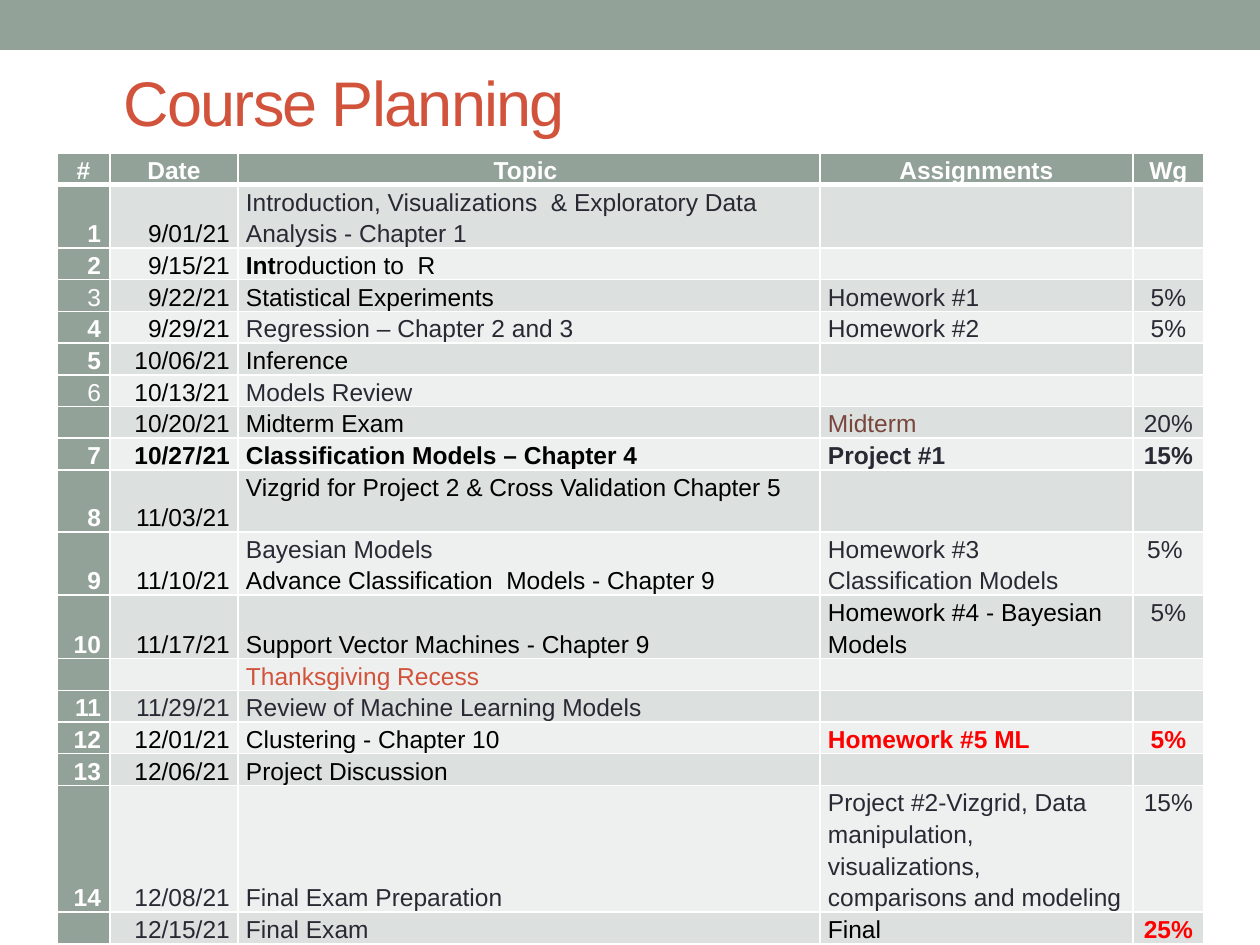
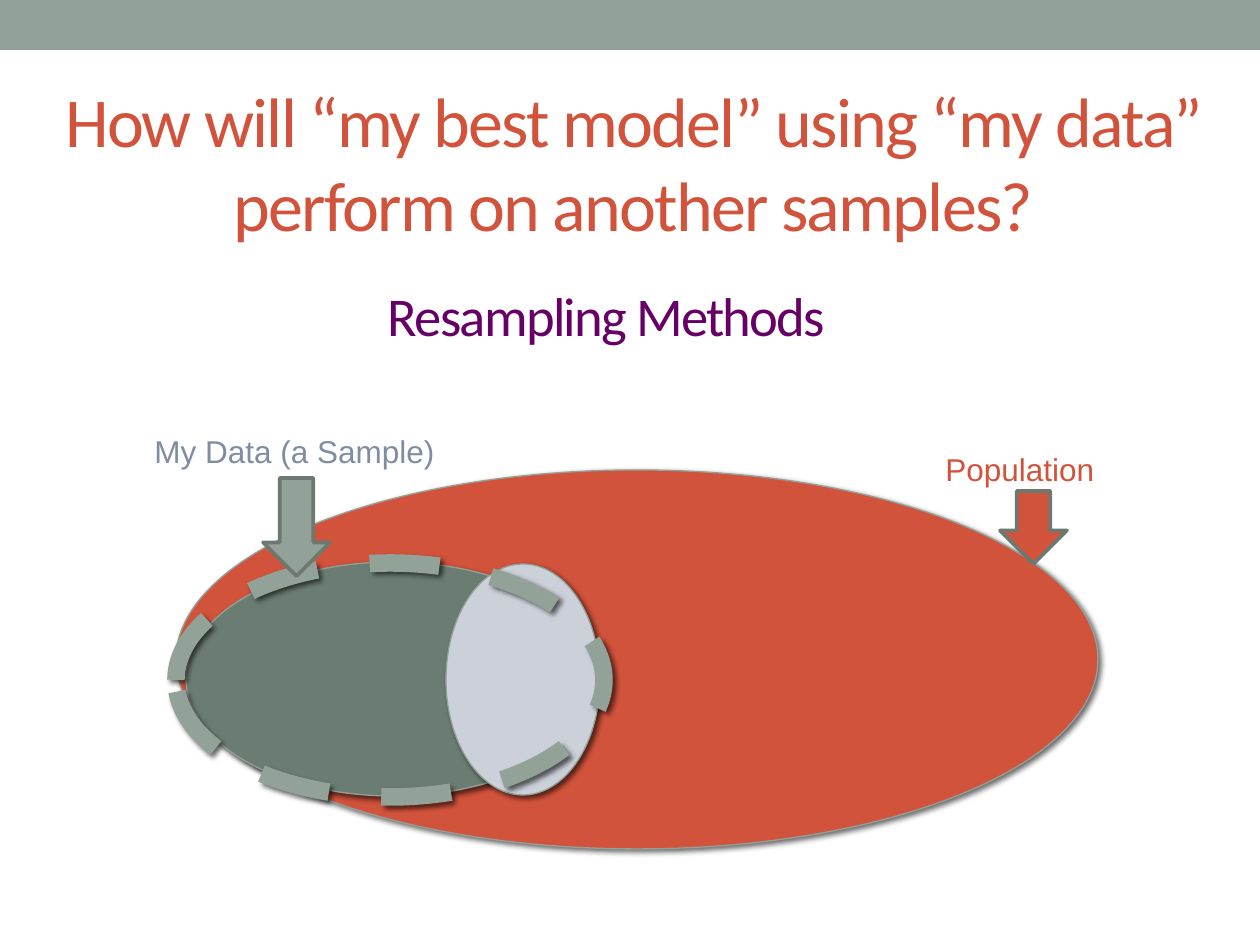
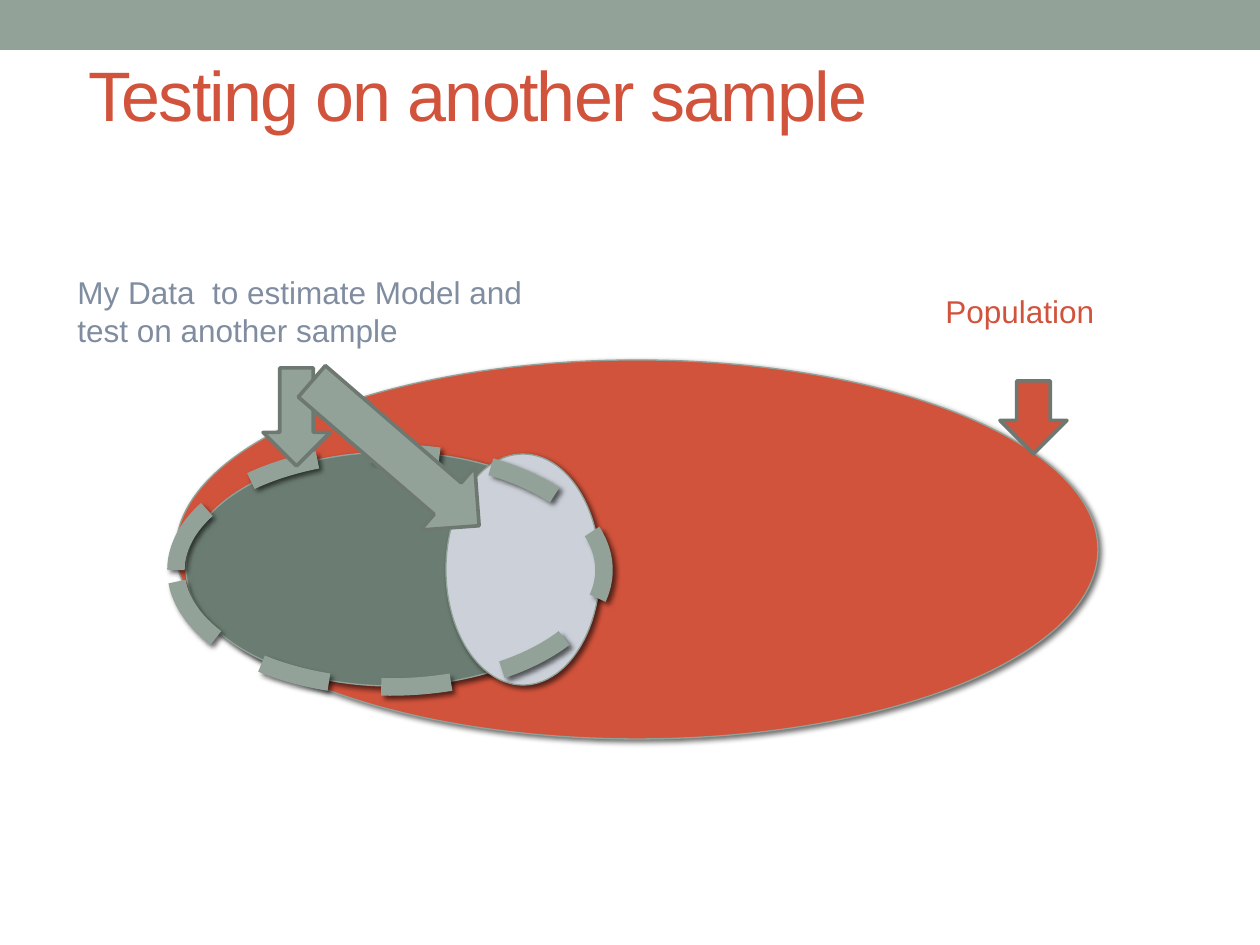
from lxml import etree
from pptx import Presentation
from pptx.dml.color import RGBColor
from pptx.enum.dml import MSO_LINE
from pptx.enum.shapes import MSO_SHAPE
from pptx.enum.text import MSO_ANCHOR, MSO_AUTO_SIZE, PP_ALIGN
from pptx.oxml import parse_xml
from pptx.oxml.ns import nsdecls, qn
from pptx.util import Inches, Pt

PX = 7257  # EMU in one pixel, 126 pixels to the inch

SAGE = RGBColor(0x93, 0xA2, 0x99)
DARK_SAGE = RGBColor(0x6B, 0x7D, 0x72)
ARROW_EDGE = RGBColor(0x6D, 0x78, 0x71)
BRICK = RGBColor(0xD2, 0x53, 0x3C)
BROWN = RGBColor(0x79, 0x46, 0x3D)
PALE_BLUE = RGBColor(0xCC, 0xD1, 0xD9)
SLATE = RGBColor(0x80, 0x8D, 0xA0)
PURPLE = RGBColor(0x66, 0x00, 0x66)
INK = RGBColor(0x29, 0x29, 0x34)
BLACK = RGBColor(0x00, 0x00, 0x00)
WHITE = RGBColor(0xFF, 0xFF, 0xFF)
RED = RGBColor(0xFF, 0x00, 0x00)
BANDS = [RGBColor(0xEE, 0xF0, 0xEF), RGBColor(0xDC, 0xE0, 0xDE)]

LEFT, CENTER, RIGHT = PP_ALIGN.LEFT, PP_ALIGN.CENTER, PP_ALIGN.RIGHT
TOP, MIDDLE, BOTTOM = MSO_ANCHOR.TOP, MSO_ANCHOR.MIDDLE, MSO_ANCHOR.BOTTOM
OVAL, DOWN_ARROW, RECTANGLE = MSO_SHAPE.OVAL, MSO_SHAPE.DOWN_ARROW, MSO_SHAPE.RECTANGLE
DASH = MSO_LINE.DASH
NO_AUTOFIT = MSO_AUTO_SIZE.NONE

SHADOW = (
    f'<a:effectLst {nsdecls("a")}><a:outerShdw blurRad="38100" dist="25400" '
    'dir="2700000" rotWithShape="0"><a:srgbClr val="000000">'
    '<a:alpha val="60000"/></a:srgbClr></a:outerShdw></a:effectLst>'
)


def write_text(box, text, size, color, font="Arial", align=LEFT, anchor=TOP, tight=False):
    """Fill a box with one run; tight pulls the letters one point together."""
    frame = box.text_frame
    frame.word_wrap = True
    frame.auto_size = NO_AUTOFIT
    frame.vertical_anchor = anchor
    paragraph = frame.paragraphs[0]
    paragraph.alignment = align
    run = paragraph.add_run()
    run.text = text
    run.font.size = Pt(size)
    run.font.name = font
    run.font.color.rgb = color
    if tight:
        run.font._element.set("spc", "-100")


def add_figure(slide, kind, bounds, fill, edge, edge_width):
    figure = slide.shapes.add_shape(kind, *(n * PX for n in bounds))
    figure.shadow.inherit = False
    if fill is None:
        figure.fill.background()
    else:
        figure.fill.solid()
        figure.fill.fore_color.rgb = fill
    if edge is None:
        figure.line.fill.background()
    else:
        figure.line.color.rgb = edge
        figure.line.width = Pt(edge_width)
    return figure


prs = Presentation()
prs.slide_width, prs.slide_height = Inches(10), Inches(7.5)

# Titles
TITLES = [
    ("Course Planning", (111, 53, 1040, 96), 36, "Arial", LEFT),
    ("How will “my best model” using “my data” perform on another samples?",
     (50, 53, 1167, 217), 40, "Calibri", CENTER),
    ("Testing on another sample", (76, 15, 1109, 158), 40, "Arial", LEFT),
]
for text, bounds, size, font, align in TITLES:
    slide = prs.slides.add_slide(prs.slide_layouts[5])
    title = slide.shapes.title
    title.left, title.top, title.width, title.height = (n * PX for n in bounds)
    write_text(title, text, size, BRICK, font, align, MIDDLE, tight=True)
planning, resampling, testing = prs.slides

# The top band belongs to the master, so every slide shows it
band = add_figure(planning, RECTANGLE, (0, 0, 1260, 50), SAGE, None, 0)
prs.slide_master.shapes._spTree.insert(2, band._element)

# Course schedule
SCHEDULE = [
    ("#", "Date", "Topic ", "Assignments", "Wg"),
    ("1", "9/01/21",
     "Introduction, Visualizations  & Exploratory Data Analysis - Chapter 1", "", ""),
    ("2", "9/15/21", "Int|roduction to  R", "", ""),
    ("3", "9/22/21", "Statistical Experiments", "Homework #1", "5%"),
    ("4", "9/29/21", "Regression – Chapter 2 and 3", "Homework #2", "5%"),
    ("5", "10/06/21", "Inference", "", ""),
    ("6", "10/13/21", "Models Review", "", ""),
    ("", "10/20/21", "Midterm Exam", "Midterm", "20%"),
    ("7", "10/27/21", "Classification Models – Chapter 4", "Project #1", "15%"),
    ("8", "11/03/21", "Vizgrid for Project 2 & Cross Validation Chapter 5", "", ""),
    ("9", "11/10/21", "Bayesian Models\nAdvance Classification  Models - Chapter 9",
     "Homework #3 Classification Models", "5% "),
    ("10", "11/17/21", "Support Vector Machines - Chapter 9",
     "Homework #4 - Bayesian Models", "5%"),
    ("", "", "Thanksgiving Recess", "", ""),
    ("11", "11/29/21", "Review of Machine Learning Models", "", ""),
    ("12", "12/01/21", "Clustering - Chapter 10", "Homework #5 ML", "5%"),
    ("13", "12/06/21", "Project Discussion", "", ""),
    ("14", "12/08/21", "Final Exam Preparation",
     "Project #2-Vizgrid, Data manipulation, visualizations, comparisons and modeling",
     "15%"),
    ("", "12/15/21", "Final Exam", "Final", "25%"),
]
COLUMN_WIDTHS = [53, 128, 582, 313, 71]
COLUMN_ALIGN = [RIGHT, RIGHT, LEFT, LEFT, CENTER]
COLUMN_COLORS = [WHITE, BLACK, BLACK, INK, INK]
COLUMN_INSETS = [9, 8, 8, 8, 9]
LINES_IN_ROW = {1: 2, 9: 2, 10: 2, 11: 2, 16: 4}
LINE_HEIGHT = 31
# Exceptions, by row and column
CELL_COLORS = {
    (1, 2): INK, (4, 2): INK, (6, 2): INK, (7, 3): BROWN, (11, 3): BLACK,
    (12, 2): BRICK, (13, 1): INK, (13, 2): INK, (14, 3): RED, (14, 4): RED,
    (16, 1): INK, (16, 2): INK, (17, 1): INK, (17, 2): INK, (17, 3): BLACK,
    (17, 4): RED,
}
BOLD_CELLS = {(8, 1), (8, 2), (8, 3), (8, 4), (14, 3), (14, 4), (17, 4)}
REGULAR_NUMBERS = {3, 6}
TOP_CELLS = {(9, 2)}

row_heights = [LINE_HEIGHT * LINES_IN_ROW.get(r, 1) for r in range(len(SCHEDULE))]
schedule = planning.shapes.add_table(
    len(SCHEDULE), len(COLUMN_WIDTHS), 57 * PX, 153 * PX,
    sum(COLUMN_WIDTHS) * PX, sum(row_heights) * PX).table
for column, width in zip(schedule.columns, COLUMN_WIDTHS):
    column.width = width * PX
for row, height in zip(schedule.rows, row_heights):
    row.height = height * PX

for r, entries in enumerate(SCHEDULE):
    for c, entry in enumerate(entries):
        cell = schedule.cell(r, c)
        header = r == 0
        cell.margin_left = cell.margin_right = COLUMN_INSETS[c] * PX
        cell.margin_top = cell.margin_bottom = 0
        if header:
            cell.vertical_anchor = MIDDLE
        elif c == 4 or (r, c) in TOP_CELLS:
            cell.vertical_anchor = TOP
        else:
            cell.vertical_anchor = BOTTOM

        cell_properties = cell._tc.get_or_add_tcPr()
        for side in "LRTB":
            thick = (r, side) in ((0, "B"), (1, "T"))
            cell_properties.append(parse_xml(
                f'<a:ln{side} {nsdecls("a")} w="{Pt(3 if thick else 1)}">'
                f'<a:solidFill><a:srgbClr val="{WHITE}"/></a:solidFill></a:ln{side}>'))
        cell.fill.solid()
        cell.fill.fore_color.rgb = SAGE if header or c == 0 else BANDS[r % 2]

        bold = header or (r, c) in BOLD_CELLS or (c == 0 and r not in REGULAR_NUMBERS)
        color = WHITE if header else CELL_COLORS.get((r, c), COLUMN_COLORS[c])
        for n, line in enumerate(entry.split("\n")):
            frame = cell.text_frame
            paragraph = frame.add_paragraph() if n else frame.paragraphs[0]
            paragraph.alignment = CENTER if header else COLUMN_ALIGN[c]
            paragraph.line_spacing = 1.15
            if not line:
                # an empty cell keeps the small text size, so its row stays low
                etree.SubElement(paragraph._p, qn("a:endParaRPr")).set("sz", "1400")
                continue
            for part in line.split("|"):
                run = paragraph.add_run()
                run.text = part
                run.font.size = Pt(14)
                run.font.name = "Arial"
                run.font.bold = bold
                run.font.color.rgb = color

schedule.cell(2, 2).text_frame.paragraphs[0].runs[0].font.bold = True
schedule.cell(10, 2).text_frame.paragraphs[0].runs[0].font.color.rgb = INK

# Population and samples: left, distance below the population's top, width, height
ELLIPSES = [
    ((176, 0, 922, 379), BRICK, 0.75),
    ((186, 92, 413, 234), DARK_SAGE, 0.75),
    ((446, 94, 154, 231), PALE_BLUE, 0.75),
    ((176, 93, 428, 234), None, 10),
]
ARROWS = [((1000, 21, 67, 73), BRICK), ((263, 8, 67, 98), SAGE)]
for slide, population_top in ((resampling, 470), (testing, 360)):
    for (left, drop, width, height), fill, edge_width in ELLIPSES:
        ellipse = add_figure(slide, OVAL, (left, population_top + drop, width, height),
                             fill, SAGE, edge_width)
        if fill is None:
            ellipse.line.dash_style = DASH
        properties = ellipse._element.spPr
        properties.replace(properties.find(qn("a:effectLst")), parse_xml(SHADOW))
    for (left, drop, width, height), fill in ARROWS:
        add_figure(slide, DOWN_ARROW, (left, population_top + drop, width, height),
                   fill, ARROW_EDGE, 2.08)

second_sample_arrow = add_figure(testing, DOWN_ARROW, (354, 343, 83, 221),
                                 SAGE, ARROW_EDGE, 2.08)
second_sample_arrow.rotation = 310.8

# Labels
LABELS = [
    (resampling, "Population", (933, 444, 190, 50), BRICK),
    (resampling, "My Data (a Sample)", (142, 426, 320, 50), SLATE),
    (testing, "Population", (933, 286, 190, 50), BRICK),
    (testing, "My Data  to estimate Model and test on another sample",
     (65, 267, 501, 92), SLATE),
]
for slide, text, bounds, color in LABELS:
    label = slide.shapes.add_textbox(*(n * PX for n in bounds))
    write_text(label, text, 18, color)

subtitle = resampling.shapes.add_textbox(81 * PX, 255 * PX, 1051 * PX, 120 * PX)
write_text(subtitle, "Resampling Methods", 31.2, PURPLE, "Calibri", CENTER, MIDDLE, tight=True)

prs.save("out.pptx")
